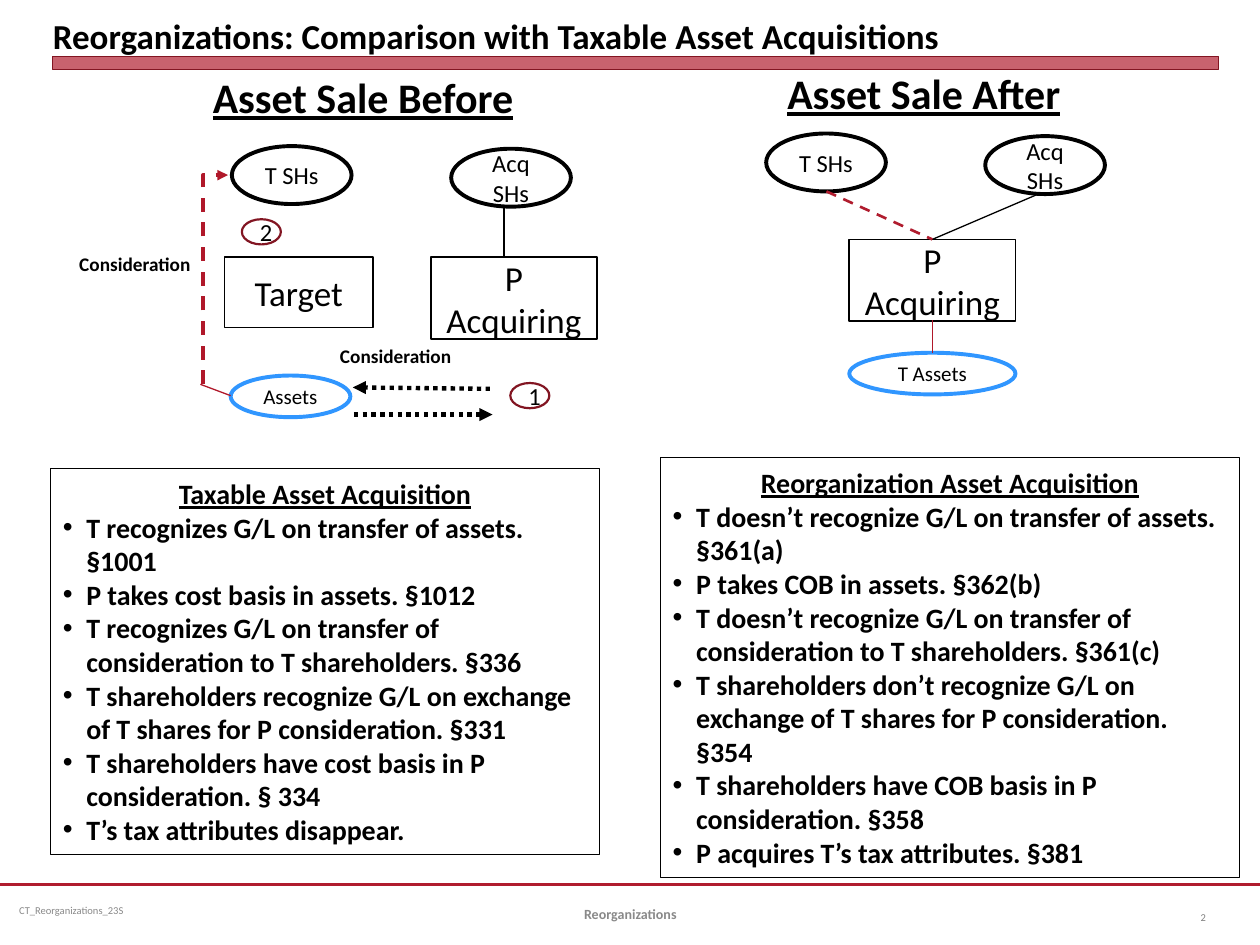
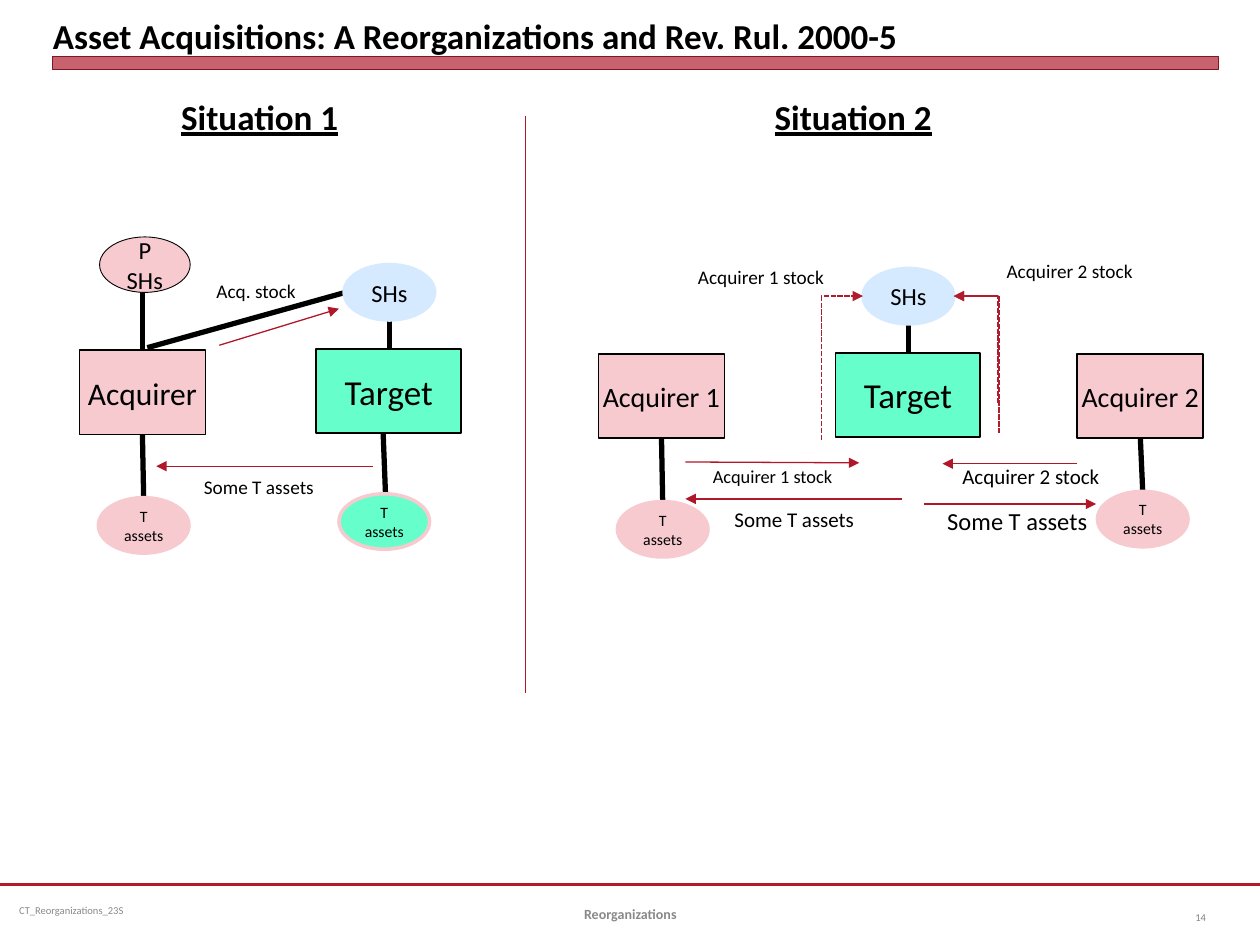
from lxml import etree
from pptx import Presentation
from pptx.dml.color import RGBColor
from pptx.enum.dml import MSO_LINE
from pptx.enum.shapes import MSO_CONNECTOR, MSO_SHAPE
from pptx.enum.text import MSO_ANCHOR, PP_ALIGN
from pptx.oxml.ns import qn
from pptx.util import Pt

BLACK = RGBColor(0x00, 0x00, 0x00)
WHITE = RGBColor(0xFF, 0xFF, 0xFF)
CRIMSON = RGBColor(0xB0, 0x1C, 0x2E)
RED = RGBColor(0xB0, 0x18, 0x2A)
MAROON = RGBColor(0x82, 0x15, 0x22)
BLUE = RGBColor(0x30, 0x96, 0xFF)
PALE_BLUE = RGBColor(0xD6, 0xEA, 0xFF)
PINK = RGBColor(0xF7, 0xCA, 0xD0)
MINT = RGBColor(0x66, 0xFF, 0xCC)
FOOTER_GRAY = RGBColor(0x89, 0x89, 0x89)
PAGE_GRAY = RGBColor(0x80, 0x80, 0x80)

RECT, OVAL = MSO_SHAPE.RECTANGLE, MSO_SHAPE.OVAL
STRAIGHT = MSO_CONNECTOR.STRAIGHT
LEFT, CENTER, RIGHT = PP_ALIGN.LEFT, PP_ALIGN.CENTER, PP_ALIGN.RIGHT
TOP, MIDDLE, BOTTOM = MSO_ANCHOR.TOP, MSO_ANCHOR.MIDDLE, MSO_ANCHOR.BOTTOM
DASH, SYS_DASH, SYS_DOT = MSO_LINE.DASH, MSO_LINE.SQUARE_DOT, MSO_LINE.ROUND_DOT

FONT = "Calibri"
BULLET_INDENT = 13.5
HOLDER = (68.4, 33.1)
ACQUIRING = (95, 46.8)
OWNER = (51.8, 31.7)
ACQUIRER = (72, 48.2)
TARGET = (82.8, 48.2)


class Deck:
    """Holds the presentation, its style and the slide being drawn."""

    def __init__(self):
        self.prs = Presentation()
        self.prs.slide_width, self.prs.slide_height = Pt(720), Pt(540)
        self.shapes = None

    def new_slide(self, title, number):
        self.shapes = self.prs.slides.add_slide(self.prs.slide_layouts[6]).shapes
        self.line((0, 505.4), (720, 505.4), CRIMSON, 1.25)
        self.text("CT_Reorganizations_23S", (6, 505.4, 186, 29), 6, FOOTER_GRAY,
                  anchor=MIDDLE, wrap=True, insets=(5, 3))
        bar = self.shape(RECT, (30.2, 32.4, 666, 7.2), MAROON, 0, CRIMSON)
        color = bar.element.find(".//" + qn("a:solidFill"))[0]
        etree.SubElement(color, qn("a:alpha"), val="69000")
        self.text(title, (30.2, 3.6, 666, 28.8), 20, bold=True, anchor=BOTTOM,
                  wrap=True, insets=(0, 0))
        self.text(number, (660.2, 509.8, 36, 28.8), 6, PAGE_GRAY, align=RIGHT,
                  anchor=MIDDLE, wrap=True)
        self.text("Reorganizations", (246.2, 507.6, 228.2, 28.8), 8, FOOTER_GRAY,
                  bold=True, align=CENTER, anchor=MIDDLE, wrap=True)

    def style(self, paragraph, size, color=BLACK, bold=False, underline=False, align=LEFT):
        paragraph.alignment = align
        font = paragraph.font
        font.name, font.size, font.bold, font.underline = FONT, Pt(size), bold, underline
        font.color.rgb = color

    def text(self, words, box, size, color=BLACK, bold=False, underline=False,
             align=LEFT, anchor=TOP, wrap=False, insets=(7.2, 3.6)):
        frame = self.shapes.add_textbox(*map(Pt, box)).text_frame
        frame.word_wrap, frame.vertical_anchor = wrap, anchor
        frame.margin_left = frame.margin_right = Pt(insets[0])
        frame.margin_top = frame.margin_bottom = Pt(insets[1])
        frame.text = words
        self.style(frame.paragraphs[0], size, color, bold, underline, align)

    def shape(self, preset, box, outline=BLACK, weight=1.0, fill=None,
              words="", size=14, wrap=True):
        shape = self.shapes.add_shape(preset, *map(Pt, box))
        shape.shadow.inherit = False
        if fill is None:
            shape.fill.background()
        else:
            shape.fill.solid()
            shape.fill.fore_color.rgb = fill
        shape.line.color.rgb = outline
        shape.line.width = Pt(weight)
        frame = shape.text_frame
        frame.word_wrap, frame.vertical_anchor = wrap, MIDDLE
        if words:
            frame.text = words
            for paragraph in frame.paragraphs:
                self.style(paragraph, size, align=CENTER)
        return shape

    def stroke(self, path_shape, color, weight, dash, arrow):
        path_shape.line.color.rgb = color
        path_shape.line.width = Pt(weight)
        if dash:
            path_shape.line.dash_style = dash
        if arrow:
            etree.SubElement(path_shape.get_or_add_ln(), qn("a:tailEnd"), type="triangle")

    def line(self, start, end, color=BLACK, weight=0.75, dash=None, arrow=False):
        connector = self.shapes.add_connector(STRAIGHT, *map(Pt, start + end))
        self.stroke(connector, color, weight, dash, arrow)
        etree.SubElement(connector.element.find(qn("p:spPr")), qn("a:effectLst"))

    def elbow(self, start, end, color, weight, dash):
        """Arrow that runs vertically from start, then horizontally to end."""
        builder = self.shapes.build_freeform(*map(Pt, start))
        corner = (start[0], end[1])
        builder.add_line_segments([tuple(map(Pt, p)) for p in (corner, end)], close=False)
        bend = builder.convert_to_shape()
        bend.fill.background()
        bend.shadow.inherit = False
        self.stroke(bend, color, weight, dash, True)

    def panel(self, box, heading, rules):
        frame = self.shape(RECT, box, weight=0.5).text_frame
        frame.text = "\n".join([heading] + rules)
        first, *bullets = frame.paragraphs
        self.style(first, 16, bold=True, underline=True, align=CENTER)
        for paragraph in bullets:
            props = paragraph._p.get_or_add_pPr()
            props.set("marL", str(Pt(BULLET_INDENT)))
            props.set("indent", str(-Pt(BULLET_INDENT)))
            etree.SubElement(props, qn("a:buFont"), typeface="Arial")
            etree.SubElement(props, qn("a:buChar"), char="•")
            self.style(paragraph, 16, bold=True)


def asset_sale_slide(deck):
    deck.new_slide("Reorganizations: Comparison with Taxable Asset Acquisitions", "2")
    deck.text("Asset Sale Before", (114.5, 37.4, 187.9, 36), 24, bold=True, underline=True)
    deck.text("Asset Sale After", (442.8, 35.3, 172.8, 36), 24, bold=True, underline=True)

    deck.shape(RECT, (128.2, 146.9, 85, 40.3), words="Target", size=20)
    for left, top in ((246.2, 146.9), (485.3, 136.8)):
        deck.shape(RECT, (left, top, *ACQUIRING), words="P\nAcquiring", size=20)
    for words, left, top in (("T SHs", 132.5, 83.5), ("Acq SHs", 257.8, 85),
                             ("T SHs", 437.8, 76.3), ("Acq SHs", 563, 77.8)):
        deck.shape(OVAL, (left, top, *HOLDER), weight=2.25, words=words)
    for words, left, top, width in (("Assets", 131.8, 214.6, 68.4),
                                    ("T Assets", 485.3, 201.6, 95)):
        deck.shape(OVAL, (left, top, width, 23.8), BLUE, 2.25, words=words, size=12)
    for step, left, top in (("2", 138.2, 125.3), ("1", 291.6, 218.9)):
        deck.shape(OVAL, (left, top, 22.3, 14.4), MAROON, 1.25, WHITE, step)
    for left, top in ((187.2, 193), (38.2, 140.4)):
        deck.text("Consideration", (left, top, 79.2, 20.9), 11, bold=True)

    deck.line((280, 222.2), (201.6, 221.4), weight=2.5, dash=SYS_DOT, arrow=True)
    deck.line((202.3, 236.9), (281.5, 236.9), weight=2.5, dash=SYS_DOT, arrow=True)
    deck.elbow((115.9, 219.6), (130.3, 100.1), RED, 2, DASH)
    deck.line((114.5, 219.6), (131.8, 226.1), RED)
    deck.line((288, 118.1), (288, 146.9))
    deck.line((532.8, 182.9), (532.8, 201.6), RED)
    deck.line((593.3, 110.9), (532.8, 136.8))
    deck.line((472.3, 109.4), (532.8, 136.8), CRIMSON, 1.5, DASH)

    deck.panel((28.8, 267.8, 313.9, 220.3), "Taxable Asset Acquisition", [
        "T recognizes G/L on transfer of assets. §1001",
        "P takes cost basis in assets. §1012",
        "T recognizes G/L on transfer of consideration to T shareholders. §336",
        "T shareholders recognize G/L on exchange of T shares for P consideration. §331",
        "T shareholders have cost basis in P consideration. § 334",
        "T’s tax attributes disappear.",
    ])
    deck.panel((377.3, 261.4, 331.2, 239.8), "Reorganization Asset Acquisition", [
        "T doesn’t recognize G/L on transfer of assets. §361(a)",
        "P takes COB in assets. §362(b)",
        "T doesn’t recognize G/L on transfer of consideration to T shareholders. §361(c)",
        "T shareholders don’t recognize G/L on exchange of T shares for P consideration. §354",
        "T shareholders have COB basis in P consideration. §358",
        "P acquires T’s tax attributes. §381",
    ])


def situations_slide(deck):
    deck.new_slide("Asset Acquisitions: A Reorganizations and Rev. Rul. 2000-5", "14")
    for heading, left in (("Situation 1", 96.5), ("Situation 2", 435.6)):
        deck.text(heading, (left, 51.1, 105.1, 31.7), 20, bold=True, underline=True)
    deck.line((300.2, 66.2), (300.2, 396), RED)

    ownership = (
        ((84.2, 198.7), (213.1, 162.7)), ((222.5, 181.4), (222.5, 199.4)),
        ((81.4, 248.4), (82.1, 284.4)), ((81.4, 167), (81.4, 200.2)),
        ((218.9, 246.2), (220.3, 282.2)), ((519.1, 183.6), (519.1, 201.6)),
        ((378, 250.6), (378.7, 286.6)), ((651.6, 249.8), (653, 280.8)),
    )
    for start, end in ownership:
        deck.line(start, end, weight=3)

    companies = (
        ("Acquirer", 45.4, 200.2, ACQUIRER, PINK, 18),
        ("Target", 180.7, 199.4, TARGET, MINT, 20),
        ("Acquirer 1", 342, 202.3, ACQUIRER, PINK, 16),
        ("Target", 477.4, 201.6, TARGET, MINT, 20),
        ("Acquirer 2", 615.6, 202.3, ACQUIRER, PINK, 16),
    )
    for name, left, top, extent, fill, size in companies:
        deck.shape(RECT, (left, top, *extent), fill=fill, words=name, size=size, wrap=False)

    deck.shape(OVAL, (56.9, 135.4, *OWNER), weight=0.5, fill=PINK, words="P SHs")
    for left, top in ((196.6, 151.2), (493.2, 153.4)):
        deck.shape(OVAL, (left, top, *OWNER), PALE_BLUE, 2, PALE_BLUE, "SHs")
    for left, top, fill in ((56.2, 284.4, PINK), (193.7, 282.2, MINT),
                            (352.8, 286.6, PINK), (627.1, 280.8, PINK)):
        deck.shape(OVAL, (left, top, *OWNER), PINK, 2, fill, "T assets", 9)

    transfers = (
        ((213.1, 266.4), (89.3, 266.4)), ((125.3, 197.3), (193.7, 176.4)),
        ((515.5, 285.1), (391.7, 285.1)), ((527.8, 288), (626.4, 288)),
        ((615.6, 265), (538.6, 265)), ((391.7, 264), (491, 264.5)),
    )
    for start, end in transfers:
        deck.line(start, end, RED, arrow=True)
    for start, end in (((571, 247.7), (545, 169.2)), ((570.2, 230.4), (545, 169.2)),
                       ((469.4, 251.3), (493.2, 169.2))):
        deck.elbow(start, end, CRIMSON, 1, SYS_DASH)

    labels = (
        ("Some T assets", 109.4, 267.8, 77.8, 11),
        ("Acq. stock", 116.6, 156.2, 63, 11),
        ("Some T assets", 412.6, 285.8, 84.2, 12),
        ("Some T assets", 534.2, 285.8, 95, 14),
        ("Acquirer 1 stock", 400.3, 262.1, 84.2, 10.5),
        ("Acquirer 2 stock", 542.9, 261.4, 93.6, 12),
        ("Acquirer 1 stock", 391.7, 148.3, 87.1, 11),
        ("Acquirer 2 stock", 568.1, 144.7, 87.1, 11),
    )
    for words, left, top, width, size in labels:
        deck.text(words, (left, top, width, 21), size)


def main():
    deck = Deck()
    asset_sale_slide(deck)
    situations_slide(deck)
    deck.prs.save("out.pptx")


if __name__ == "__main__":
    main()
